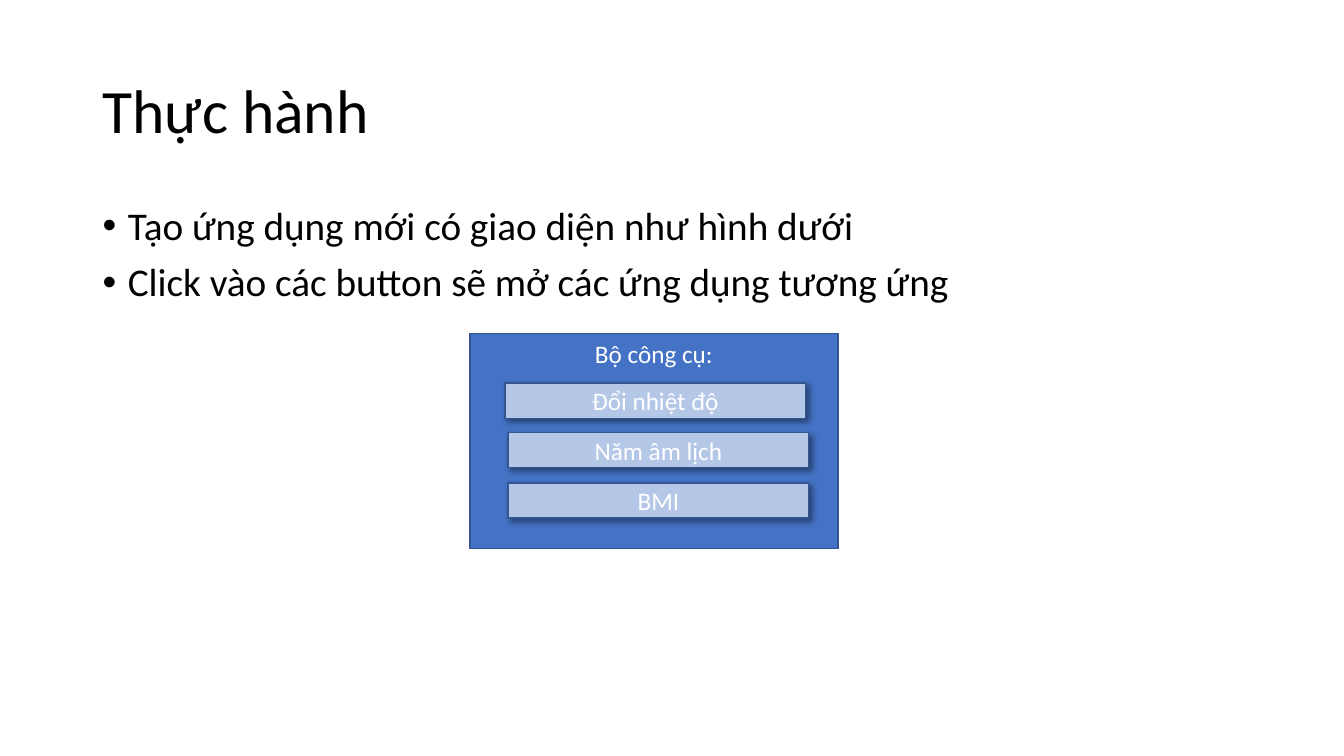
from lxml import etree
from pptx import Presentation
from pptx.dml.color import RGBColor
from pptx.enum.shapes import MSO_SHAPE
from pptx.enum.text import MSO_ANCHOR, PP_ALIGN
from pptx.oxml import parse_xml
from pptx.oxml.ns import nsdecls, qn
from pptx.util import Pt

PX = 9144  # EMU per px, 100 px to the inch
FONT = "Calibri"
SHADOW = (
    f'<a:effectLst {nsdecls("a")}>'
    '<a:outerShdw blurRad="50800" dist="38100" dir="2700000" algn="tl" rotWithShape="0">'
    '<a:srgbClr val="000000"><a:alpha val="40000"/></a:srgbClr>'
    '</a:outerShdw></a:effectLst>'
)


def write(shape, lines, size, color, anchor, align=PP_ALIGN.LEFT):
    """Fill the shape with one paragraph per line and return the paragraphs."""
    frame = shape.text_frame
    frame.word_wrap = True
    frame.vertical_anchor = anchor
    frame.text = "\n".join(lines)
    for paragraph in frame.paragraphs:
        paragraph.alignment = align
        paragraph.font.name = FONT
        paragraph.font.size = Pt(size)
        paragraph.font.color.rgb = RGBColor.from_string(color)
    return frame.paragraphs


def add_box(shapes, left, top, width, height, fill, label, anchor):
    box = shapes.add_shape(
        MSO_SHAPE.RECTANGLE, left * PX, top * PX, width * PX, height * PX)
    box.shadow.inherit = False
    box.fill.solid()
    box.fill.fore_color.rgb = RGBColor.from_string(fill)
    box.line.color.rgb = RGBColor.from_string("325491")
    box.line.width = Pt(1)
    write(box, [label], 18, "FFFFFF", anchor, PP_ALIGN.CENTER)
    return box


presentation = Presentation()
presentation.slide_width = 1333 * PX
presentation.slide_height = 750 * PX
slide = presentation.slides.add_slide(presentation.slide_layouts[6])

# Title
title = slide.shapes.add_textbox(92 * PX, 40 * PX, 1150 * PX, 145 * PX)
heading = write(title, ["Thực hành"], 44, "000000", MSO_ANCHOR.MIDDLE)[0]
heading.line_spacing = 0.9

# Instructions
body = slide.shapes.add_textbox(92 * PX, 200 * PX, 1150 * PX, 476 * PX)
instructions = [
    "Tạo ứng dụng mới có giao diện như hình dưới",
    "Click vào các button sẽ mở các ứng dụng tương ứng",
]
for paragraph in write(body, instructions, 28, "000000", MSO_ANCHOR.TOP):
    paragraph.line_spacing = 0.9
    paragraph.space_before = Pt(10)
    properties = paragraph._p.get_or_add_pPr()
    properties.set("marL", str(25 * PX))
    properties.set("indent", str(-25 * PX))
    etree.SubElement(properties, qn("a:buFont")).set("typeface", "Arial")
    etree.SubElement(properties, qn("a:buChar")).set("char", "•")
    # The schema wants the default run properties after the bullet
    properties.append(properties.find(qn("a:defRPr")))

# App mock-up: a panel with three buttons
mockup = slide.shapes.add_group_shape()
add_box(mockup.shapes, 466, 331, 365, 213, "4472C4", "Bộ công cụ:", MSO_ANCHOR.TOP)
buttons = [
    ("Đổi nhiệt độ", 501, 380),
    ("Năm âm lịch", 504, 429),
    ("BMI", 504, 479),
]
for label, left, top in buttons:
    button = add_box(
        mockup.shapes, left, top, 298, 35, "B4C7E7", label, MSO_ANCHOR.MIDDLE)
    effects = button._element.spPr.find(qn("a:effectLst"))
    effects.getparent().replace(effects, parse_xml(SHADOW))

presentation.save("out.pptx")
